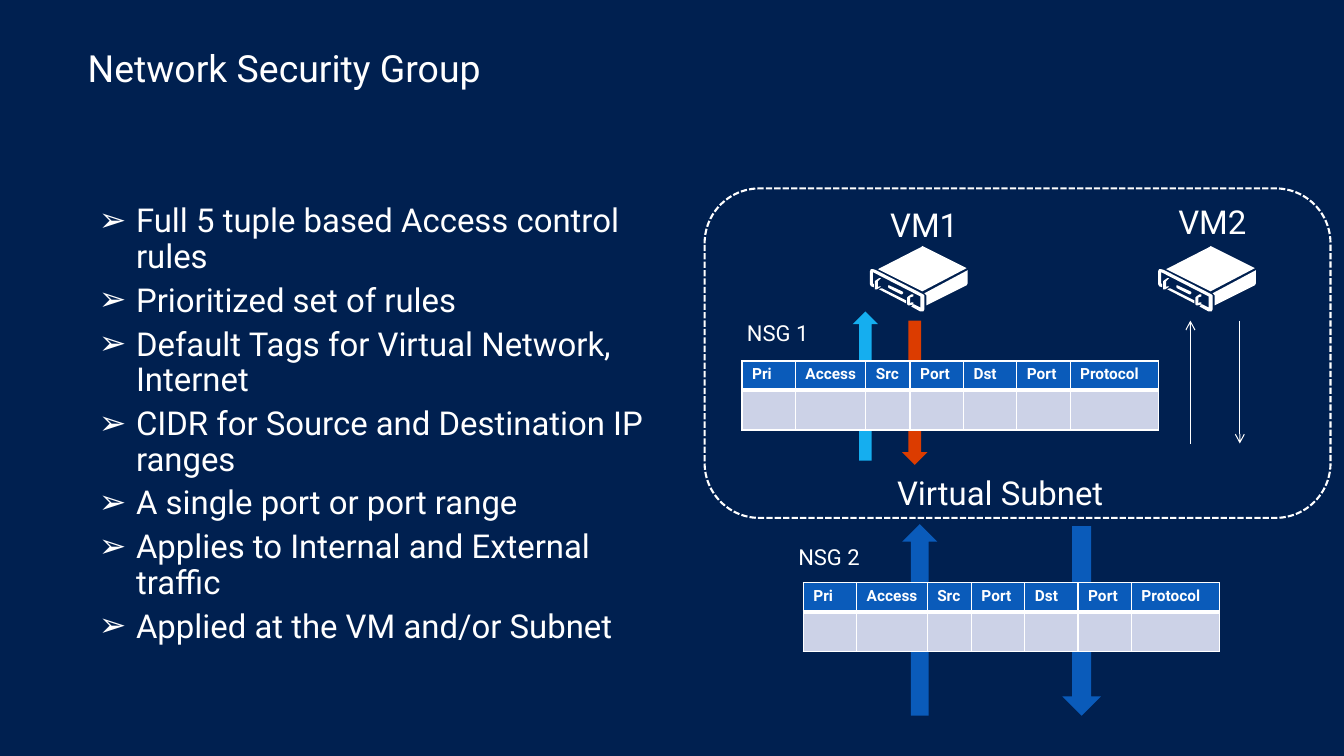
from lxml import etree
from pptx import Presentation
from pptx import util as u
from pptx.dml.color import RGBColor
from pptx.enum import dml, shapes, text
from pptx.oxml import ns

WHITE, BLUE, CYAN, ORANGE = "FFFFFF", "0A5BBA", "15AEEF", "DC3C00"
NAVY, PALE = "002050", "CCD2E7"
FONT = "Roboto"


def paint(fill, color):
    fill.solid()
    fill.fore_color.rgb = RGBColor.from_string(color)


def add_text(lines, left, top, width, height, size, bullet=None, title=False):
    box = slide.shapes.add_textbox(u.Pt(left), u.Pt(top), u.Pt(width), u.Pt(height))
    frame = box.text_frame
    frame.word_wrap = True
    frame.margin_left = u.Pt(14.4)
    frame.margin_right = u.Pt(7.2)
    frame.margin_top = u.Pt(10.8 if title else 11.5)
    frame.margin_bottom = u.Pt(3.6 if title else 11.5)
    if not title:
        frame.auto_size = text.MSO_AUTO_SIZE.SHAPE_TO_FIT_TEXT
    for index, line in enumerate(lines):
        paragraph = frame.add_paragraph() if index else frame.paragraphs[0]
        if not title:
            paragraph.line_spacing = 0.9
            paragraph.space_after = u.Pt(5.9)
        if bullet:
            properties = paragraph._p.get_or_add_pPr()
            properties.set("marL", str(u.Pt(26.6)))
            properties.set("indent", str(-u.Pt(26.6)))
            etree.SubElement(properties, ns.qn("a:buFont"), typeface=FONT)
            etree.SubElement(properties, ns.qn("a:buChar"), char=bullet)
        run = paragraph.add_run()
        run.text = line
        run.font.name = FONT
        run.font.size = u.Pt(size)
        run.font.color.rgb = RGBColor.from_string(WHITE)


presentation = Presentation()
presentation.slide_width = u.Pt(960)
presentation.slide_height = u.Pt(540)
slide = presentation.slides.add_slide(presentation.slide_layouts[6])
paint(slide.background.fill, NAVY)

# Title and bullets
add_text(["Network Security Group"], 48.2, 21.6, 864, 90, 26.7, title=True)
add_text([
    "Full 5 tuple based Access control rules",
    "Prioritized set of rules",
    "Default Tags for Virtual Network, Internet",
    "CIDR for Source and Destination IP ranges",
    "A single port or port range",
    "Applies to Internal and External traffic",
    "Applied at the VM and/or Subnet",
], 56.2, 134.6, 417.6, 372.2, 23.5, bullet="➢")

# Subnet outline
subnet = slide.shapes.add_shape(shapes.MSO_SHAPE.ROUNDED_RECTANGLE,
                                u.Pt(503.3), u.Pt(134.6), u.Pt(447.1), u.Pt(235.4))
subnet.shadow.inherit = False
subnet.fill.background()
paint(subnet.line.fill, WHITE)
subnet.line.width = u.Pt(1.5)
subnet.line.dash_style = dml.MSO_LINE.SQUARE_DOT

# Block arrows through the rule tables
UP, DOWN = shapes.MSO_SHAPE.UP_ARROW, shapes.MSO_SHAPE.DOWN_ARROW
for kind, left, top, width, height, color in [
    (DOWN, 644.4, 229, 18, 103, ORANGE),
    (UP, 609.1, 222.5, 18, 106.5, CYAN),
    (DOWN, 758.9, 375.8, 27.4, 135.4, BLUE),
    (UP, 644.4, 374.4, 25.2, 136.8, BLUE),
]:
    arrow = slide.shapes.add_shape(kind, u.Pt(left), u.Pt(top), u.Pt(width), u.Pt(height))
    arrow.shadow.inherit = False
    paint(arrow.fill, color)
    arrow.line.fill.background()

# Thin arrows under VM2
for x, start, end in [(850.3, 316.8, 229), (885.6, 229, 316.8)]:
    connector = slide.shapes.add_connector(shapes.MSO_CONNECTOR.STRAIGHT,
                                           u.Pt(x), u.Pt(start), u.Pt(x), u.Pt(end))
    paint(connector.line.fill, WHITE)
    connector.line.width = u.Pt(0.75)
    etree.SubElement(connector.line._get_or_add_ln(), ns.qn("a:tailEnd"), type="arrow")
    etree.SubElement(connector._element.spPr, ns.qn("a:effectLst"))

# Server icons, outlined in hundredths of an inch
server_outlines = [
    # lid, base strip
    [(52, 45), (96, 22), (54, 1), (52, 0), (51, 1), (8, 23)],
    [(12, 42), (36, 54), (36, 57), (9, 43), (11, 42)],
    # front frame
    [(54, 49), (54, 63), (53, 65), (50, 65), (41, 60), (43, 58), (44, 58), (50, 61),
     (50, 50), (3, 26), (3, 37), (4, 38), (4, 41), (1, 40), (0, 38), (0, 25),
     (1, 23), (3, 23), (6, 24), (53, 48)],
    # side, slot
    [(97, 24), (97, 37), (96, 39), (56, 59), (56, 49), (54, 47)],
    [(32, 48), (31, 48), (19, 42), (18, 41), (18, 39), (19, 39), (32, 45), (33, 46), (33, 47)],
    # right and left handles
    [(43, 56), (43, 58), (39, 59), (38, 59), (37, 58), (37, 51), (38, 50), (41, 48),
     (43, 48), (43, 50), (40, 51), (40, 57), (41, 56)],
    [(11, 40), (10, 41), (7, 43), (5, 43), (5, 35), (6, 34), (9, 32), (11, 32),
     (10, 33), (8, 35), (8, 41), (9, 40)],
]
for left in (621.4, 827.3):
    builder = slide.shapes.build_freeform(*server_outlines[0][0], scale=u.Pt(0.72))
    for outline in server_outlines:
        if outline is not server_outlines[0]:
            builder.move_to(*outline[0])
        builder.add_line_segments(outline[1:], close=True)
    server = builder.convert_to_shape(u.Pt(left), u.Pt(175.7))
    server.shadow.inherit = False
    paint(server.fill, WHITE)
    server.line.fill.background()

# Rule tables
headers = ["Pri", "Access", "Src", "Port", "Dst", "Port", "Protocol"]
column_widths = [38.1, 50.4, 31.6, 38.1, 38.1, 38.1, 63.2]
row_heights = [21, 28.4]
row_fills = [BLUE, PALE]
row_borders = [{"lnL": 1, "lnR": 1, "lnT": 1, "lnB": 3},
               {"lnL": 1, "lnR": 1, "lnT": 3, "lnB": 1}]
for left, top in [(530, 257.8), (573.8, 416.2)]:
    table = slide.shapes.add_table(2, len(headers), u.Pt(left), u.Pt(top),
                                   u.Pt(sum(column_widths)), u.Pt(sum(row_heights))).table
    for column, width in zip(table.columns, column_widths):
        column.width = u.Pt(width)
    for row_index, row in enumerate(table.rows):
        row.height = u.Pt(row_heights[row_index])
        for cell, header in zip(row.cells, headers):
            properties = cell._tc.get_or_add_tcPr()
            for side, weight in row_borders[row_index].items():
                border = etree.SubElement(properties, ns.qn("a:" + side), w=str(u.Pt(weight)))
                border_fill = etree.SubElement(border, ns.qn("a:solidFill"))
                etree.SubElement(border_fill, ns.qn("a:srgbClr"), val=WHITE)
            paint(cell.fill, row_fills[row_index])
            if row_index:
                cell.margin_top = cell.margin_bottom = 0
                continue
            cell.margin_right = 0
            cell.margin_top = cell.margin_bottom = u.Pt(3)
            run = cell.text_frame.paragraphs[0].add_run()
            run.text = header
            run.font.name = FONT
            run.font.size = u.Pt(11)
            run.font.bold = True
            run.font.color.rgb = RGBColor.from_string(WHITE)

# Diagram labels
for label, left, top, width, height, size in [
    ("Virtual Subnet", 626.4, 329, 205.9, 48.2, 23.5),
    ("VM1", 621.4, 138.2, 88.6, 48.2, 23.5),
    ("VM2", 827.3, 135.4, 88.6, 48.2, 23.5),
    ("NSG 1", 519.1, 221.8, 113.8, 39.6, 15.7),
    ("NSG 2", 555.8, 381.6, 113.8, 39.6, 15.7),
]:
    add_text([label], left, top, width, height, size)

presentation.save("out.pptx")
